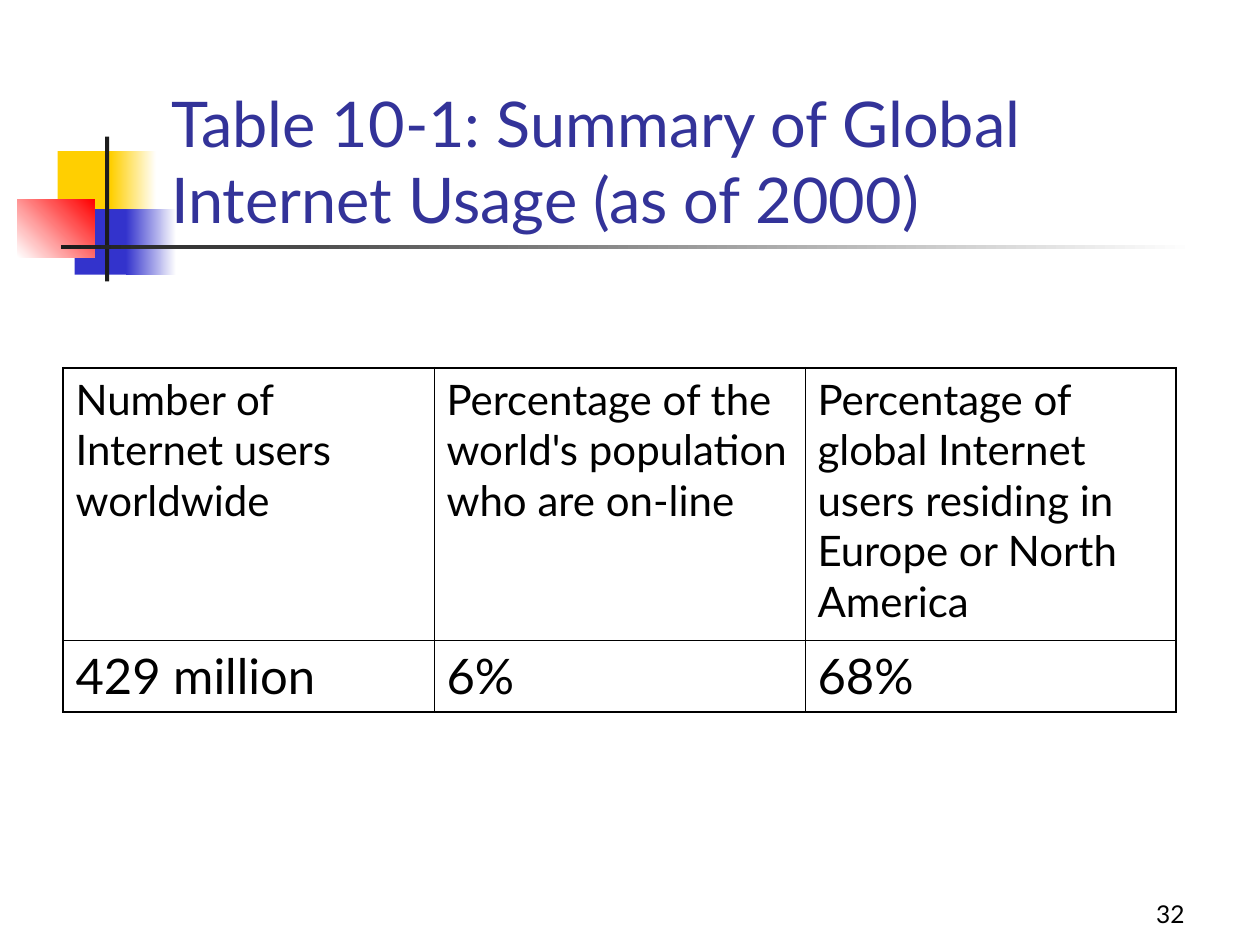
from lxml.etree import SubElement
from pptx import Presentation
from pptx.dml.color import RGBColor
from pptx.enum.shapes import MSO_SHAPE
from pptx.enum.text import MSO_ANCHOR, PP_ALIGN
from pptx.oxml.ns import qn
from pptx.util import Pt

FONT = "Lato"
COLORS = {
    "yellow": "FFCF01", "blue": "3333CC", "red": "FF0000", "dark": "1C1C1C",
    "white": "FFFFFF", "title": "333399", "black": "000000",
}
TITLE = "Table 10-1: Summary of Global Internet Usage (as of 2000)"
PAGE = "32"
ROWS = [
    ["Number of Internet users worldwide",
     "Percentage of the world's population who are on-line",
     "Percentage of global Internet users residing in Europe or North America"],
    ["429 million", "6%", "68%"],
]
ROW_HEIGHTS = [155.6, 41]
ROW_SIZES = [24, 28]
COL_WIDTH = 212
THICK, THIN = 1.08, 0.45

DECOR = [
    ((33, 86.4, 34.8, 37.4), ["yellow"], 0),
    ((63.4, 86.4, 25.9, 37.4), ["yellow", "white"], 0),
    ((42.6, 119.5, 33.1, 37.4), ["blue"], 0),
    ((72, 119.5, 28.8, 37.4), ["blue", "white"], 0),
    ((10, 113.8, 44, 33.1), ["white", "red"], 45),
    ((60, 78, 2.4, 82.8), ["dark"], 0),
    ((34.8, 140, 648, 2.5), ["dark", "white"], 0),
]


def rgb(name):
    return RGBColor.from_string(COLORS[name])


def add_block(s, box, colors, angle):
    sp = s.shapes.add_shape(MSO_SHAPE.RECTANGLE, *map(Pt, box))
    sp.shadow.inherit = False
    sp.line.fill.background()
    if len(colors) == 1:
        sp.fill.solid()
        sp.fill.fore_color.rgb = rgb(colors[0])
        return
    sp.fill.gradient()
    sp.fill.gradient_angle = angle
    for stop, color, position in zip(sp.fill.gradient_stops, colors, (0, 1)):
        stop.color.rgb = rgb(color)
        stop.position = position


def write(tf, text, size, color="black", align=PP_ALIGN.LEFT):
    p = tf.paragraphs[0]
    p.alignment = align
    r = p.add_run()
    r.text = text
    r.font.name = FONT
    r.font.size = Pt(size)
    r.font.color.rgb = rgb(color)


def add_label(s, box, text, size, color, align):
    tf = s.shapes.add_textbox(*map(Pt, box)).text_frame
    tf.word_wrap = True
    tf.vertical_anchor = MSO_ANCHOR.BOTTOM
    write(tf, text, size, color, align)


def set_borders(cell, widths):
    tcPr = cell._tc.get_or_add_tcPr()
    for side, width in widths.items():
        ln = SubElement(tcPr, qn(f"a:ln{side}"), w=str(Pt(width)))
        fill = SubElement(ln, qn("a:solidFill"))
        SubElement(fill, qn("a:srgbClr"), val=COLORS["black"])


def add_usage_table(s):
    n_rows, n_cols = len(ROWS), len(ROWS[0])
    table = s.shapes.add_table(
        n_rows, n_cols, Pt(36), Pt(210.2),
        Pt(COL_WIDTH * n_cols), Pt(sum(ROW_HEIGHTS))).table
    table.first_row = table.horz_banding = False
    for col in table.columns:
        col.width = Pt(COL_WIDTH)
    for i, texts in enumerate(ROWS):
        table.rows[i].height = Pt(ROW_HEIGHTS[i])
        for j, text in enumerate(texts):
            cell = table.cell(i, j)
            write(cell.text_frame, text, ROW_SIZES[i])
            set_borders(cell, {
                "L": THICK if j == 0 else THIN,
                "R": THICK if j == n_cols - 1 else THIN,
                "T": THICK if i == 0 else THIN,
                "B": THICK if i == n_rows - 1 else THIN,
            })
            cell.fill.background()


def main():
    prs = Presentation()
    prs.slide_width, prs.slide_height = Pt(720), Pt(540)
    s = prs.slides.add_slide(prs.slide_layouts[6])
    for box, colors, angle in DECOR:
        add_block(s, box, colors, angle)
    add_label(s, (90.7, 48.2, 613.4, 90), TITLE, 36, "title", PP_ALIGN.LEFT)
    add_usage_table(s)
    add_label(s, (534.2, 498.2, 149.8, 36), PAGE, 14, "black", PP_ALIGN.RIGHT)
    prs.save("out.pptx")


if __name__ == "__main__":
    main()
